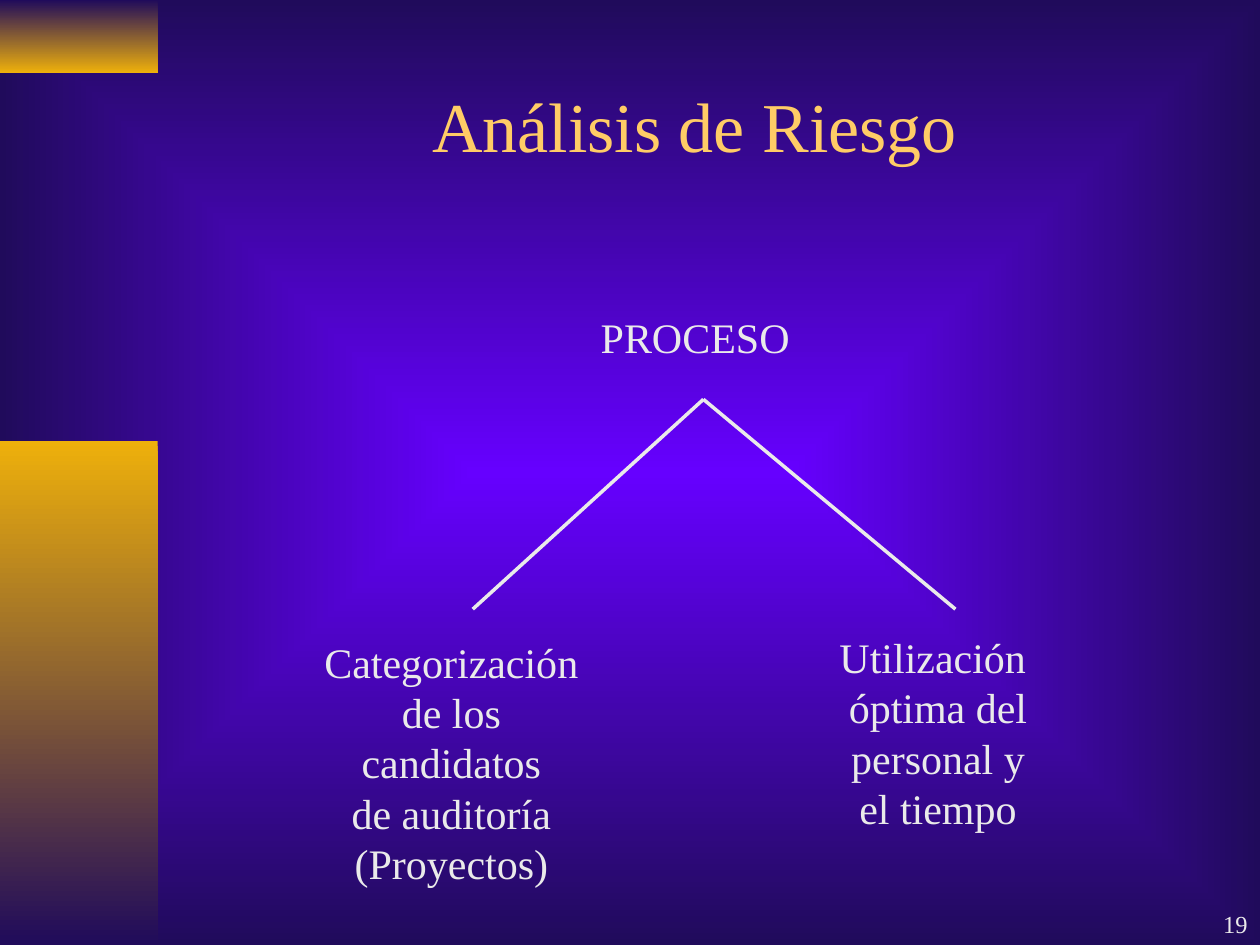
from lxml.etree import SubElement
from pptx import Presentation
from pptx.dml.color import RGBColor
from pptx.enum.shapes import MSO_CONNECTOR as Connector, MSO_SHAPE as Shape
from pptx.enum.text import MSO_ANCHOR as Anchor, PP_ALIGN as Align
from pptx.oxml.ns import qn
from pptx.util import Cm, Pt

FONT = "Times New Roman"
COLORS = {"violet": "6600FF", "navy": "200B5B", "gold": "EEB00B",
          "title": "FFCC66", "text": "EAEAEA"}

TITLE = "Análisis de Riesgo "
TITLE_BOX = (3.38, 0.84, 21.6, 3.35)
BANDS = [
    ((0, 0, 3.18, 1.47), ("navy", "gold")),
    ((0, 8.89, 3.18, 10.16), ("gold", "navy")),
]
LABELS = [
    (["PROCESO"], (11.86, 6.15, 4.32, 1.27), {"align": Align.LEFT}),
    (["Categorización", "de los candidatos", "de auditoría", "(Proyectos)"],
     (6.05, 12.7, 6.1, 4.32), {}),
    (["Utilización ", "óptima del", "personal y", "el tiempo"],
     (16.66, 12.6, 4.5, 4.32), {}),
    (["19"], (20.12, 17.78, 5.28, 1.27),
     {"size": 14, "align": Align.RIGHT, "anchor": Anchor.BOTTOM}),
]
APEX = (14.18, 8.05)
BRANCH_ENDS = [(9.53, 12.28), (19.26, 12.28)]


def rgb(name):
    return RGBColor.from_string(COLORS[name])


def lengths(values):
    return [Cm(value) for value in values]


def set_gradient(fill, names):
    fill.gradient()
    for stop, name, position in zip(fill.gradient_stops, names, (0, 1)):
        stop.color.rgb = rgb(name)
        stop.position = position


def write(frame, lines, size=24, color="text", align=Align.CENTER, anchor=Anchor.TOP):
    frame.word_wrap = True
    frame.vertical_anchor = anchor
    frame.text = "\n".join(lines)
    for paragraph in frame.paragraphs:
        paragraph.alignment = align
        font = paragraph.runs[0].font
        font.name, font.size, font.color.rgb = FONT, Pt(size), rgb(color)


deck = Presentation()
deck.slide_width, deck.slide_height = Cm(25.4), Cm(19.05)
slide = deck.slides.add_slide(deck.slide_layouts[5])
shapes = slide.shapes

set_gradient(slide.background.fill, ("violet", "navy"))
backdrop = next(slide.element.iter(qn("a:gradFill")))
backdrop.remove(backdrop.find(qn("a:lin")))
center = SubElement(backdrop, qn("a:path"), {"path": "shape"})
SubElement(center, qn("a:fillToRect"), dict.fromkeys("ltrb", "50000"))

for box, names in BANDS:
    band = shapes.add_shape(Shape.RECTANGLE, *lengths(box))
    set_gradient(band.fill, names)
    band.fill.gradient_angle = 270
    band.line.fill.background()
    band.shadow.inherit = False

title = shapes.title
title.left, title.top, title.width, title.height = lengths(TITLE_BOX)
write(title.text_frame, [TITLE], size=40, color="title", anchor=Anchor.MIDDLE)

for lines, box, style in LABELS:
    write(shapes.add_textbox(*lengths(box)).text_frame, lines, **style)

for end in BRANCH_ENDS:
    branch = shapes.add_connector(Connector.STRAIGHT, *lengths(APEX + end))
    branch.line.color.rgb = rgb("text")
    branch.line.width = Pt(2)
    SubElement(branch.element.spPr, qn("a:effectLst"))

deck.save("out.pptx")
